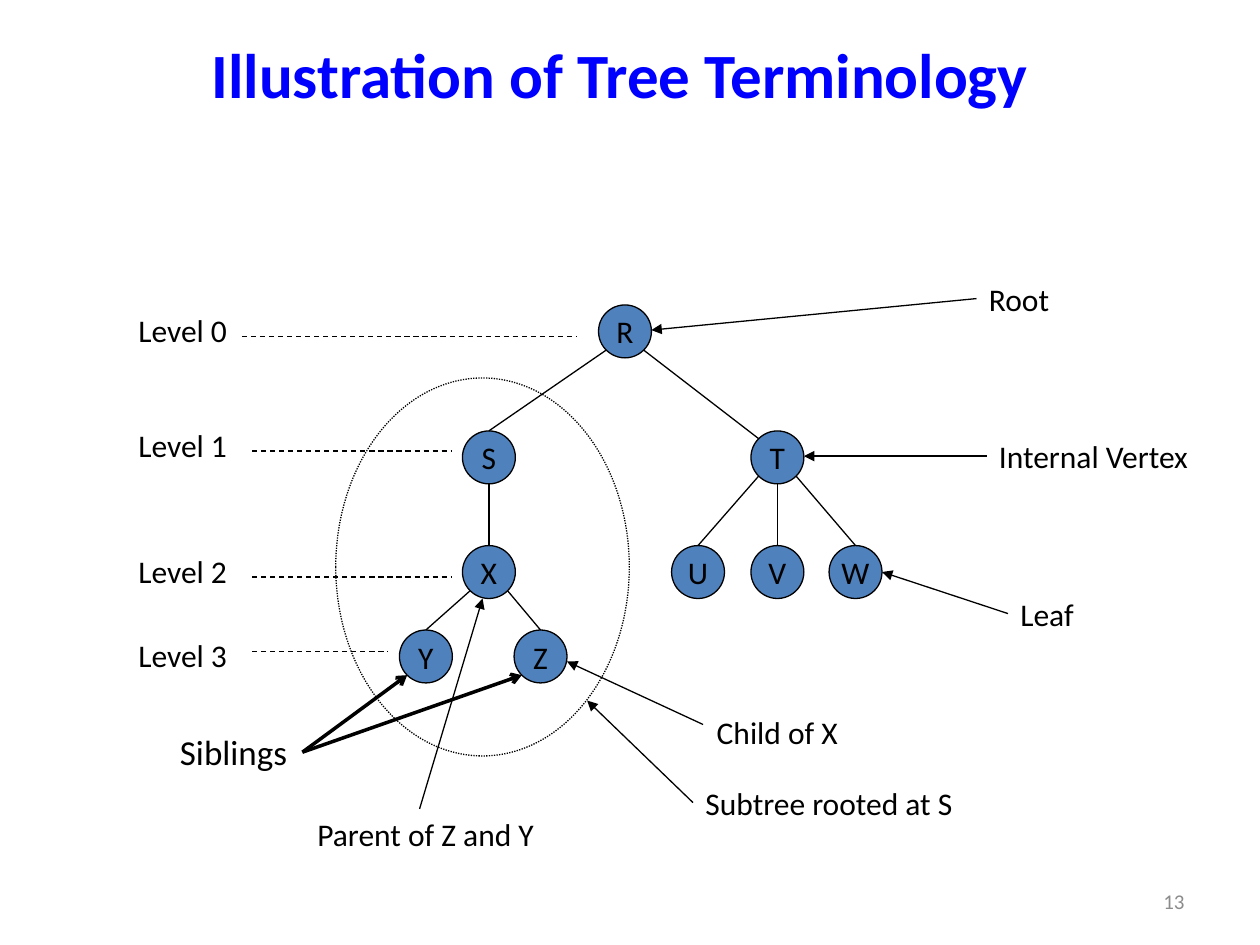
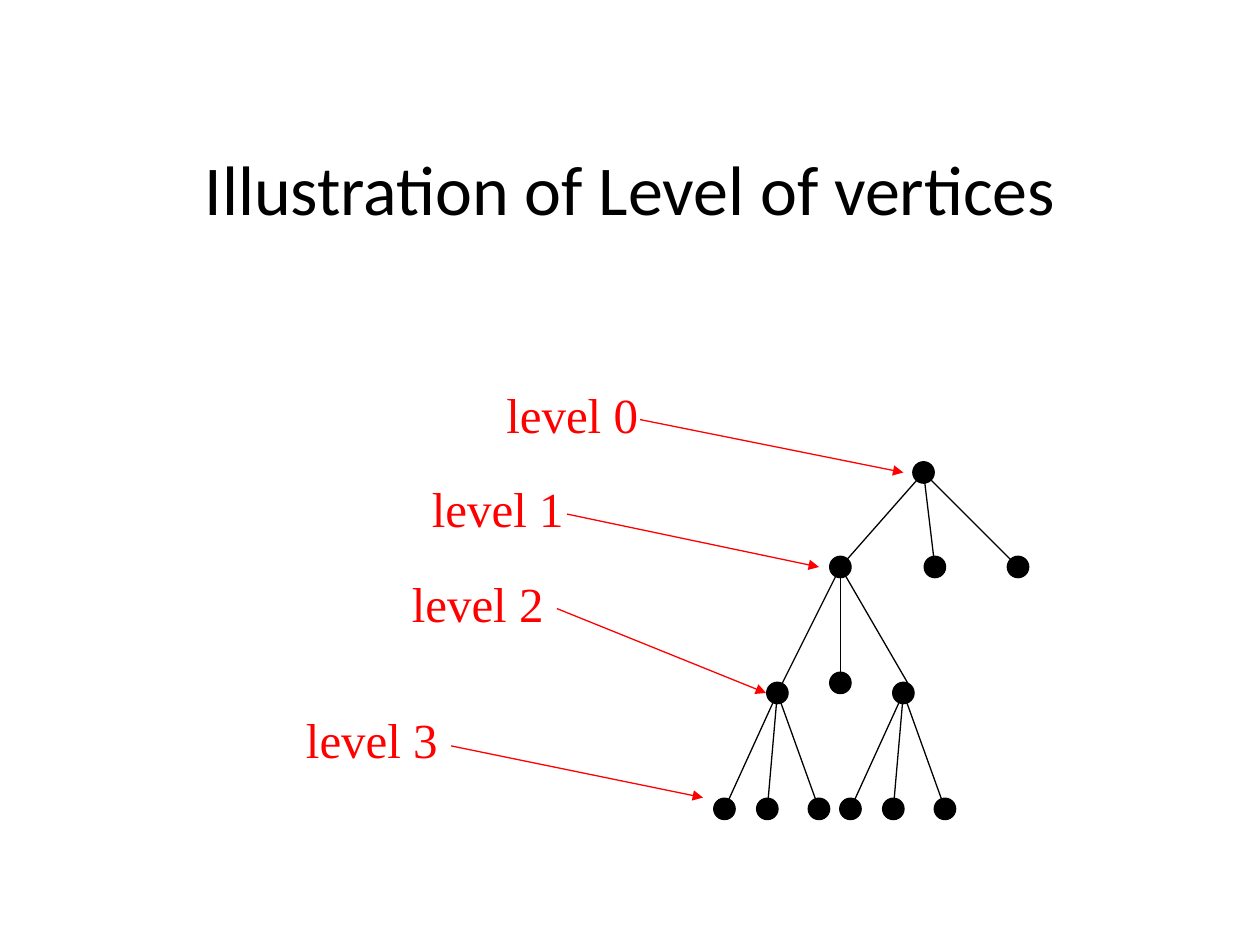
import math

from lxml import etree
from pptx import Presentation
from pptx import util as u
from pptx.dml.color import RGBColor
from pptx.enum import dml, shapes, text
from pptx.oxml.ns import qn

BLACK, BLUE, RED, STEEL, GREY = "000000", "0000FF", "FF0000", "4F81BD", "8C8C8C"
SANS, SERIF = "Calibri", "Times New Roman"
DASH, DOTS = dml.MSO_LINE.DASH, dml.MSO_LINE.ROUND_DOT
TITLE_ONLY = 5


def color(value):
    return RGBColor.from_string(value)


class Deck:
    label_format = {"name": SANS, "size": u.Pt(18), "bold": False}

    def __init__(self):
        self.presentation = Presentation()
        self.presentation.slide_width = u.Inches(10)
        self.presentation.slide_height = u.Inches(7.5)
        self.slide = None

    def set_text(self, shape, wording, ink=BLACK, align=text.PP_ALIGN.LEFT,
                 anchor=text.MSO_ANCHOR.TOP, wrap=False, **changes):
        frame = shape.text_frame
        frame.text = wording
        frame.word_wrap = wrap
        frame.vertical_anchor = anchor
        paragraph = frame.paragraphs[0]
        paragraph.alignment = align
        font = paragraph.runs[0].font
        for name, value in {**self.label_format, **changes}.items():
            setattr(font, name, value)
        font.color.rgb = color(ink)

    def add_slide(self, title, box, **style):
        layout = self.presentation.slide_layouts[TITLE_ONLY]
        self.slide = self.presentation.slides.add_slide(layout)
        placeholder = self.slide.shapes.title
        for name, value in zip(("left", "top", "width", "height"), box):
            setattr(placeholder, name, u.Inches(value))
        self.set_text(placeholder, title, align=text.PP_ALIGN.CENTER,
                      anchor=text.MSO_ANCHOR.MIDDLE, wrap=True, **style)

    def label(self, wording, left, top, width, height=0.4, **style):
        box = self.slide.shapes.add_textbox(*map(u.Inches, (left, top, width, height)))
        self.set_text(box, wording, **style)

    def ellipse(self, center, width, height, fill=None, dash=None, wording=None):
        left, top = center[0] - width / 2, center[1] - height / 2
        shape = self.slide.shapes.add_shape(
            shapes.MSO_SHAPE.OVAL, *map(u.Inches, (left, top, width, height)))
        shape.shadow.inherit = False
        if fill:
            shape.fill.solid()
            shape.fill.fore_color.rgb = color(fill)
        else:
            shape.fill.background()
        self.stroke(shape.line, BLACK, 0.75, dash)
        if wording:
            self.set_text(shape, wording, align=text.PP_ALIGN.CENTER,
                          anchor=text.MSO_ANCHOR.MIDDLE)

    def stroke(self, line, ink, width, dash):
        line.color.rgb = color(ink)
        line.width = u.Pt(width)
        if dash:
            line.dash_style = dash

    def line(self, start, end, ink=BLACK, width=0.75, dash=None, head=None):
        connector = self.slide.shapes.add_connector(
            shapes.MSO_CONNECTOR.STRAIGHT, *map(u.Inches, (*start, *end)))
        self.stroke(connector.line, ink, width, dash)
        properties = connector._element.spPr
        if head:
            outline = properties.find(qn("a:ln"))
            etree.SubElement(outline, qn("a:tailEnd"), type=head)
        etree.SubElement(properties, qn("a:effectLst"))


def rim(center, degrees, diameter):
    angle = math.radians(degrees)
    return (center[0] + diameter / 2 * math.cos(angle),
            center[1] + diameter / 2 * math.sin(angle))


def add_terminology(deck):
    deck.add_slide("Illustration of Tree Terminology", (0.67, 0.17, 8.5, 0.83),
                   ink=BLUE, size=u.Pt(36), bold=True)
    deck.label("13", 7.17, 6.95, 2.33, ink=GREY, size=u.Pt(12), wrap=True,
               align=text.PP_ALIGN.RIGHT, anchor=text.MSO_ANCHOR.MIDDLE)

    diameter = 0.42
    nodes = {
        "R": (4.96, 2.63), "S": (3.88, 3.63), "T": (6.17, 3.63),
        "X": (3.88, 4.54), "U": (5.54, 4.54), "V": (6.17, 4.54),
        "W": (6.79, 4.54), "Y": (3.38, 5.21), "Z": (4.29, 5.21),
    }
    for name, center in nodes.items():
        deck.ellipse(center, diameter, diameter, STEEL, wording=name)

    for parent, child in ("RS", "RT", "SX", "XY", "XZ", "TU", "TV", "TW"):
        start, end = nodes[parent], nodes[child]
        side = (end[0] > start[0]) - (end[0] < start[0])
        arrival = 225 if child == "T" else 270
        deck.line(rim(start, 90 - 45 * side, diameter), rim(end, arrival, diameter))

    deck.ellipse((3.83, 4.5), 2.33, 3, dash=DOTS)

    callouts = [
        ("Root", (7.75, 2.17, 0.69), (7.75, 2.37), (5.17, 2.62)),
        ("Internal Vertex", (7.83, 3.42, 1.72), (7.83, 3.62), (6.38, 3.62)),
        ("Leaf", (8, 4.67, 0.66), (8, 4.87), (7, 4.54)),
        ("Subtree rooted at S", (5.5, 6.17, 2.75), (5.5, 6.37), (4.66, 5.56)),
        ("Child of X", (5.59, 5.61, 1.27), (5.58, 5.75), (4.5, 5.25)),
        ("Parent of Z and Y", (2.42, 6.42, 1.99), (3.33, 6.42), (3.83, 4.75)),
    ]
    for wording, box, start, end in callouts:
        deck.label(wording, *box)
        deck.line(start, end, head="triangle")

    levels = [(2.42, 1.92, 4.58, 2.67), (3.33, 2, 3.58, 3.58),
              (4.33, 2, 3.58, 4.58), (5, 2, 3.08, 5.17)]
    for number, (top, left, right, height) in enumerate(levels):
        deck.label(f"Level {number}", 1, top, 0.96)
        deck.line((left, height), (right, height), dash=DASH)

    deck.label("Siblings", 1.33, 5.75, 1.06, 0.44, size=u.Pt(20))
    for name in "YZ":
        deck.line((2.4, 5.97), rim(nodes[name], 135, diameter), width=2, head="arrow")


def add_vertex_levels(deck):
    deck.add_slide("Illustration of Level of vertices", (0.5, 1.05, 9, 0.87),
                   size=u.Pt(40))

    root, inner = (7.33, 3.75), (6.67, 4.5)
    branches = [(6.17, 5.5), (7.17, 5.5)]
    middle_leaf = (6.67, 5.42)
    children = [inner, (7.42, 4.5), (8.08, 4.5)]
    edges = [(root, child) for child in children]
    edges += [(inner, branches[0]), (inner, middle_leaf), (inner, (7.25, 5.5))]
    vertices = [root, *children, *branches, middle_leaf]
    for branch in branches:
        for offset in (-0.42, -0.08, 0.33):
            leaf = (branch[0] + offset, 6.42)
            vertices.append(leaf)
            edges.append((branch, leaf))

    for vertex in vertices:
        deck.ellipse(vertex, 0.17, 0.17, BLACK)
    for start, end in edges:
        deck.line(start, end)

    levels = [
        ((3.92, 3, 1.83), (5.08, 3.33), (7.17, 3.75)),
        ((3.33, 3.75, 1.83), (4.5, 4.08), (6.5, 4.5)),
        ((3.17, 4.5, 1.83), (4.42, 4.83), (6.08, 5.5)),
        ((2.33, 5.58, 1.42), (3.58, 5.92), (5.58, 6.33)),
    ]
    for number, (box, start, end) in enumerate(levels):
        deck.label(f"level {number}", *box, 0.57, ink=RED, wrap=True,
                   name=SERIF, size=u.Pt(28))
        deck.line(start, end, ink=RED, head="triangle")


def main():
    deck = Deck()
    add_terminology(deck)
    add_vertex_levels(deck)
    deck.presentation.save("out.pptx")


if __name__ == "__main__":
    main()
